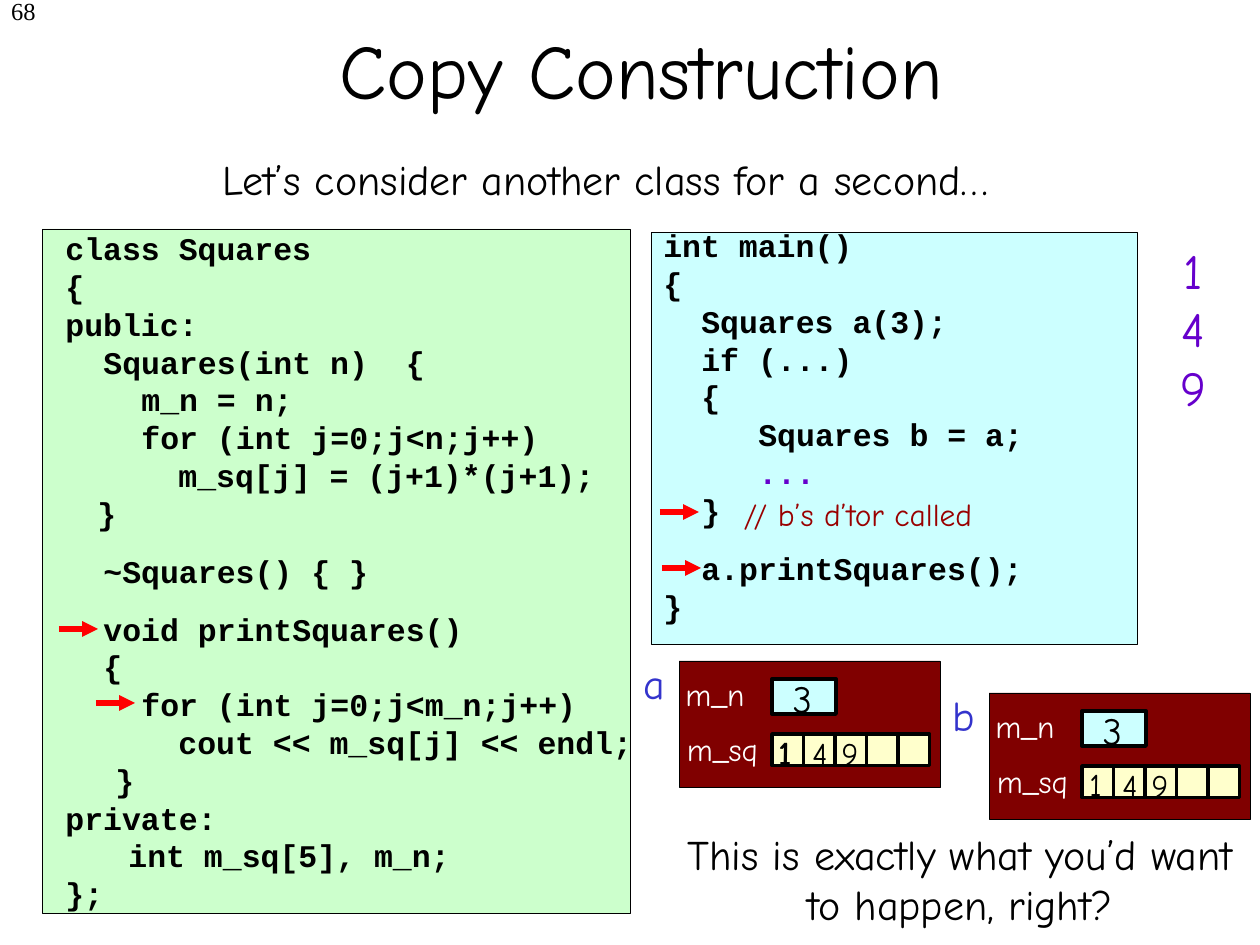
"""Build the slide on copy construction of a Squares class."""
from lxml import etree
from pptx import Presentation
from pptx import util as u
from pptx.dml.color import RGBColor
from pptx.enum import shapes, text
from pptx.oxml.ns import qn

SCALE = 914400 / 126
BLACK = RGBColor(0, 0, 0)
WHITE = RGBColor(255, 255, 255)
GREEN = RGBColor(0xCC, 0xFF, 0xCC)
CYAN = RGBColor(0xCC, 0xFF, 0xFF)
CREAM = RGBColor(0xFF, 0xFF, 0xCC)
MAROON = RGBColor(0x80, 0, 0)
BLUE = RGBColor(0x33, 0x33, 0xCC)
PURPLE = RGBColor(0x66, 0, 0xCC)
RED = RGBColor(255, 0, 0)
BRICK = RGBColor(0x99, 0, 0)
HAND, CODE, SERIF = "Comic Neue", "Courier New", "Times New Roman"
MID, LEFT, RIGHT = text.PP_ALIGN.CENTER, text.PP_ALIGN.LEFT, text.PP_ALIGN.RIGHT

TITLE = "Copy Construction"
CLASS = [
    (63, "class Squares"), (63, "{"), (63, "public:"),
    (101, "Squares(int n)  {"), (139, "m_n = n;"),
    (139, "for (int j=0;j<n;j++)"), (176, "m_sq[j] = (j+1)*(j+1);"),
    (95, "}"), (101, "~Squares() { }"), (101, "void printSquares()"),
    (101, "{"), (139, "for (int j=0;j<m_n;j++)"),
    (176, "cout << m_sq[j] << endl;"), (113, "}"), (63, "private:"),
    (126, "int m_sq[5], m_n;"), (63, "};"),
]
MAIN = [
    (0, "int main()"), (0, "{"), (38, "Squares a(3);"), (38, "if (...)"),
    (38, "{"), (95, "Squares b = a;"), (95, "..."), (38, "}"),
    (38, "a.printSquares();"), (0, "}"),
]
SPACED = {"~Squares() { }", "void printSquares()", "a.printSquares();"}
ARROWS = [(660, 512), (662, 568), (59, 629), (96, 703)]
DIGITS = [("1", 87, 66, 39), ("4", 119, 67, 44), ("9", 149, 67, 44)]
OBJECTS = [
    ("a", 679, 661, [("1", 86, 66, 39)] + DIGITS),
    ("b", 989, 693, DIGITS),
]
NOTES = [
    ("68", (-214, -10, 262, 63), 14, SERIF, BLACK, RIGHT, True),
    ("This is exactly what you’d want to happen, right?",
     (660, 822, 600, 113), 24, HAND, BLACK, MID, True),
    ("// b’s d’tor called", (717, 489, 282, 50), 18, HAND, BRICK, MID, False),
    ("1\n4\n9", (1166, 234, 55, 189), 28, HAND, PURPLE, MID, False),
    ("Let’s consider another class for a second…",
     (210, 147, 1260, 63), 24, HAND, BLACK, LEFT, True),
]


def px(n):
    return u.Emu(round(n * SCALE))


def style(para, size, face, color, align):
    para.alignment = align
    font = para.font
    font.size, font.name, font.color.rgb = u.Pt(size), face, color


def rect(home, box, fill, width):
    shape = home.add_shape(shapes.MSO_SHAPE.RECTANGLE, *map(px, box))
    shape.shadow.inherit = False
    shape.fill.solid()
    shape.fill.fore_color.rgb = fill
    shape.line.color.rgb = BLACK
    shape.line.width = u.Pt(width)


def label(home, words, box, size, face, color, align=MID, wrap=False):
    frame = home.add_textbox(*map(px, box)).text_frame
    frame.word_wrap = wrap
    frame.auto_size = text.MSO_AUTO_SIZE.SHAPE_TO_FIT_TEXT
    frame.text = words
    for para in frame.paragraphs:
        style(para, size, face, color, align)
    return frame


def listing(home, lines, box):
    words = "\n".join(line for _, line in lines)
    frame = label(home, words, box, 18, CODE, BLACK, LEFT, True)
    for para, (left, line) in zip(frame.paragraphs, lines):
        para.font.bold = True
        props = para._p.get_or_add_pPr()
        props.set("marL", str(px(left)))
        props.set("indent", "0")
        if line in SPACED:
            para.space_before = u.Pt(11.5)
        if line == "...":
            para.font.color.rgb = PURPLE


def memory(home, name, x, y, digits):
    group = home.add_group_shape().shapes

    def put(words, left, top, width, high, size, color):
        label(group, words, (x + left, y + top, width, high), size, HAND, color)

    rect(group, (x, y, 261, 126), MAROON, 0.25)
    put(name, -49, -10, 48, 63, 24, BLUE)
    rect(group, (x + 93, y + 18, 64, 35), CYAN, 2.25)
    put("m_n", -7, 8, 86, 50, 18, WHITE)
    put("m_sq", -7, 63, 101, 50, 18, WHITE)
    for i in range(5):
        rect(group, (x + 93 + 31.5 * i, y + 73, 31.5, 31.5), CREAM, 2.25)
    put("3", 99, 8, 49, 59, 22, BLACK)
    for digit, left, top, width in digits:
        put(digit, left, top, width, 50, 18, BLACK)


def arrow(home, x, y):
    line = home.add_connector(
        shapes.MSO_CONNECTOR.STRAIGHT, px(x), px(y), px(x + 39), px(y))
    line.line.color.rgb = RED
    line.line.width = u.Pt(3)
    etree.SubElement(line.line._get_or_add_ln(), qn("a:tailEnd"), type="triangle")
    etree.SubElement(line._element.spPr, qn("a:effectLst"))


def main():
    deck = Presentation()
    deck.slide_width, deck.slide_height = px(1260), px(945)
    slide = deck.slides.add_slide(deck.slide_layouts[5])
    home = slide.shapes

    title = home.title
    title.left, title.top, title.width, title.height = map(px, (45, -10, 1193, 158))
    frame = title.text_frame
    frame.text = TITLE
    frame.vertical_anchor = text.MSO_ANCHOR.MIDDLE
    style(frame.paragraphs[0], 44, HAND, BLACK, MID)

    rect(home, (42, 229, 588, 684), GREEN, 0.25)
    listing(home, CLASS, (-10, 223, 675, 748))
    for item in OBJECTS:
        memory(home, *item)
    rect(home, (651, 232, 486, 412), CYAN, 0.25)
    listing(home, MAIN, (651, 220, 557, 412))
    for spot in ARROWS:
        arrow(home, *spot)
    for note in NOTES:
        label(home, *note)
    deck.save("out.pptx")


if __name__ == "__main__":
    main()
